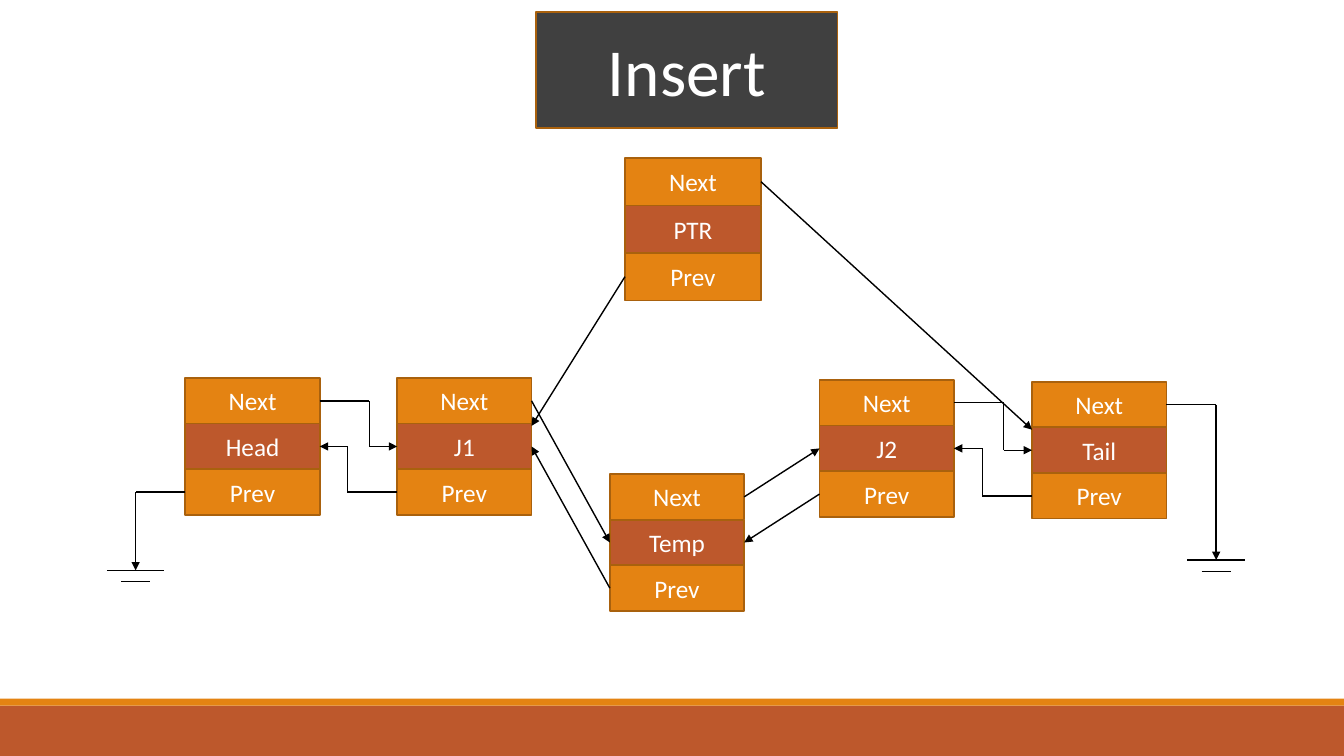
import dataclasses
import itertools

import lxml.etree
import pptx
import pptx.dml.color
import pptx.enum.shapes
import pptx.enum.text
import pptx.oxml.ns
import pptx.util

Pt = pptx.util.Pt

TITLE = "Insert"
TITLE_BOX = (383, 8.6, 215.3, 82.8)
FOOTER_BARS = [((0, 504, 960, 36), "rust"), ((0, 499, 960, 5), "orange")]

NODES = {
    "Head": (132.4, 270, 96, 32.6),
    "J1": (283.7, 270, 96, 32.6),
    "Tail": (737.2, 272.7, 96, 32.6),
    "J2": (585.4, 271.4, 96, 32.6),
    "Temp": (435.6, 338.6, 96, 32.6),
    "PTR": (446.4, 112.9, 97.2, 33.9),
}
NEXT, DATA, PREV = 0.5, 1.5, 2.5
DATA_TOP = 1.05

STRAIGHT_LINKS = [
    (("J1", "right", NEXT), ("Temp", "left", DATA)),
    (("Temp", "left", PREV), ("J1", "right", DATA)),
    (("Temp", "right", NEXT), ("J2", "left", DATA)),
    (("J2", "left", PREV), ("Temp", "right", DATA)),
    (("PTR", "right", NEXT), ("Tail", "left", DATA_TOP)),
    (("PTR", "left", PREV), ("J1", "right", DATA_TOP)),
]
NEIGHBOURS = [("Head", "J1"), ("J2", "Tail")]
GROUNDS = [(("Head", "left", PREV), 407.4), (("Tail", "right", NEXT), 400)]
BEND = 35.5
PLATE_WIDTHS = (41, 20.7)
PLATE_GAP = 8.1


@dataclasses.dataclass(frozen=True)
class Theme:
    orange: str = "E48312"
    rust: str = "BD582C"
    border: str = "A9610D"
    charcoal: str = "404040"
    ink: str = "000000"
    white: str = "FFFFFF"
    font: str = "Calibri"
    title_size: float = 48
    label_size: float = 18
    border_width: float = 1.25
    link_width: float = 1


THEME = Theme()


def rgb(value):
    return pptx.dml.color.RGBColor.from_string(value)


def paint(box, fill, border=None):
    box.fill.solid()
    box.fill.fore_color.rgb = rgb(fill)
    if border:
        box.line.color.rgb = rgb(border)
        box.line.width = Pt(THEME.border_width)
    else:
        box.line.fill.background()


def write(box, text, size):
    frame = box.text_frame
    frame.text = text
    frame.word_wrap = True
    frame.auto_size = pptx.enum.text.MSO_AUTO_SIZE.NONE
    frame.vertical_anchor = pptx.enum.text.MSO_ANCHOR.MIDDLE
    para = frame.paragraphs[0]
    para.alignment = pptx.enum.text.PP_ALIGN.CENTER
    font = para.runs[0].font
    font.name = THEME.font
    font.size = Pt(size)
    font.color.rgb = rgb(THEME.white)


def add_box(page, bounds, fill, border=None):
    box = page.shapes.add_shape(
        pptx.enum.shapes.MSO_SHAPE.RECTANGLE, *map(Pt, bounds)
    )
    box.shadow.inherit = False
    paint(box, fill, border)
    return box


def add_title(page):
    title = page.shapes.title
    title.left, title.top, title.width, title.height = map(Pt, TITLE_BOX)
    paint(title, THEME.charcoal, THEME.border)
    write(title, TITLE, THEME.title_size)


def add_node(page, name):
    left, top, width, height = NODES[name]
    rows = [("Next", THEME.orange), (name, THEME.rust), ("Prev", THEME.orange)]
    for index, (label, fill) in enumerate(rows):
        bounds = (left, top + index * height, width, height)
        write(add_box(page, bounds, fill, THEME.border), label, THEME.label_size)


def port(name, side, row):
    left, top, width, height = NODES[name]
    return left + (width if side == "right" else 0), top + row * height


def add_line(page, start, end, arrow=False):
    line = page.shapes.add_connector(
        pptx.enum.shapes.MSO_CONNECTOR.STRAIGHT, *map(Pt, (*start, *end))
    )
    line.line.color.rgb = rgb(THEME.ink)
    line.line.width = Pt(THEME.link_width)
    qn = pptx.oxml.ns.qn
    properties = line.element.find(qn("p:spPr"))
    if arrow:
        outline = properties.find(qn("a:ln"))
        lxml.etree.SubElement(outline, qn("a:tailEnd"), type="triangle")
    lxml.etree.SubElement(properties, qn("a:effectLst"))


def add_route(page, points):
    for start, end in itertools.pairwise(points):
        add_line(page, start, end, arrow=end == points[-1])


def bend_beside(source):
    x, y = port(*source)
    return x + (BEND if source[1] == "right" else -BEND)


def add_elbow(page, source, target):
    start, end, bend = port(*source), port(*target), bend_beside(source)
    add_route(page, [start, (bend, start[1]), (bend, end[1]), end])


def add_ground(page, source, level):
    start, bend = port(*source), bend_beside(source)
    add_route(page, [start, (bend, start[1]), (bend, level)])
    for index, width in enumerate(PLATE_WIDTHS):
        height = level + index * PLATE_GAP
        add_line(page, (bend - width / 2, height), (bend + width / 2, height))


def main():
    deck = pptx.Presentation()
    deck.slide_width, deck.slide_height = Pt(960), Pt(540)
    page = deck.slides.add_slide(deck.slide_layouts.get_by_name("Title Only"))
    add_title(page)
    for bounds, colour in FOOTER_BARS:
        add_box(page, bounds, getattr(THEME, colour))
    for name in NODES:
        add_node(page, name)
    for first, second in NEIGHBOURS:
        add_elbow(page, (first, "right", NEXT), (second, "left", DATA))
        add_elbow(page, (second, "left", PREV), (first, "right", DATA))
    for source, target in STRAIGHT_LINKS:
        add_route(page, [port(*source), port(*target)])
    for source, level in GROUNDS:
        add_ground(page, source, level)
    deck.save("out.pptx")


if __name__ == "__main__":
    main()
